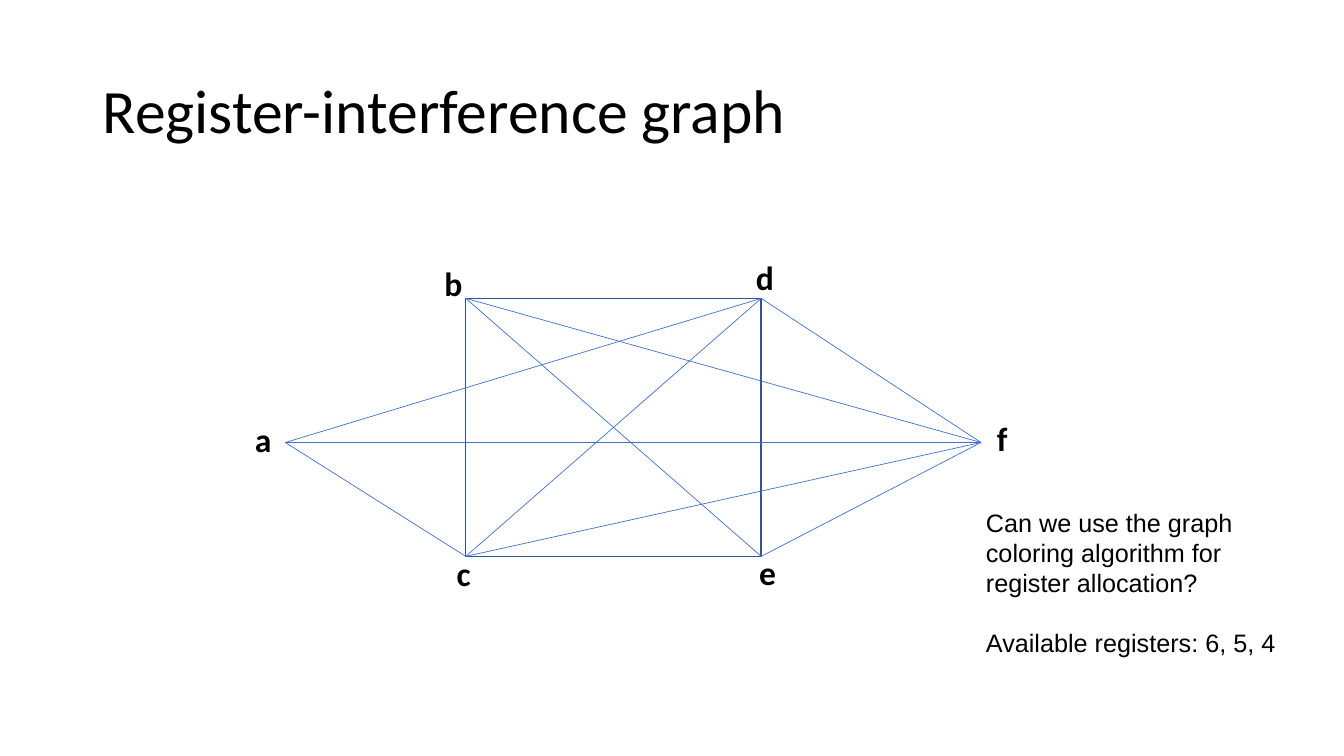
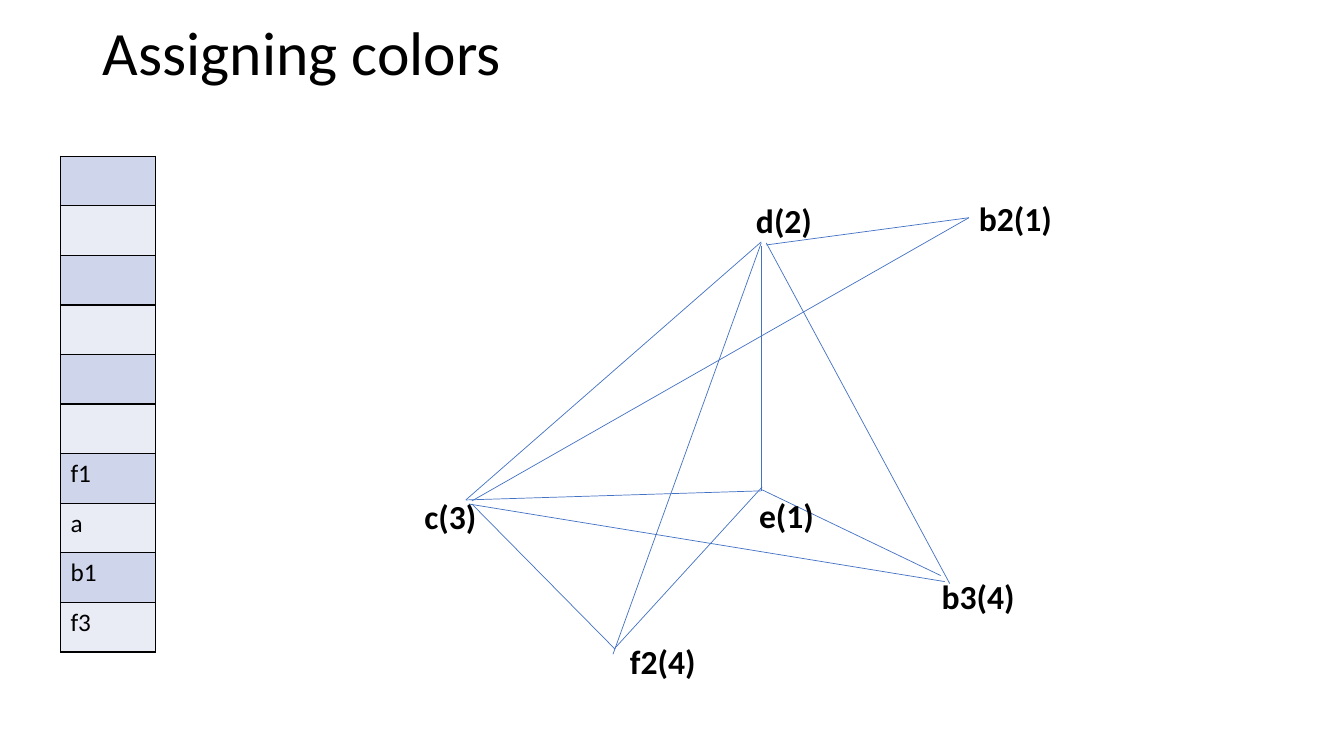
"""Build two slides on register-interference graphs and colour assignment."""
import dataclasses
import typing

import lxml.etree
import pptx
import pptx.dml.color
import pptx.enum.shapes
import pptx.enum.text
import pptx.oxml.ns
import pptx.util

Inches = pptx.util.Inches
Pt = pptx.util.Pt
Point = tuple[float, float]

BLACK, EDGE_BLUE, FRAME_BLUE = "000000", "4472C4", "325491"
STACK_BANDS = ("CFD5EA", "E9EBF5")
TITLE_FORMAT = {"name": "Calibri", "size": Pt(44), "bold": False}
LABEL_FORMAT = {"name": "Calibri", "size": Pt(24), "bold": True}
NOTE_FORMAT = {"name": "Arial", "size": Pt(18), "bold": False}
STACK_FORMAT = {"name": "Calibri", "size": Pt(18), "bold": False}


@dataclasses.dataclass(frozen=True)
class Label:
    """A bold node label and its place in inches."""
    text: str
    left: float
    top: float
    width: float = 0.87


@dataclasses.dataclass(frozen=True)
class Edge:
    """A straight graph edge between two points in inches."""
    start: Point
    end: Point


NODES: dict[str, Point] = {
    "a": (2.83, 4.39), "b": (4.62, 2.96), "c": (4.62, 5.52),
    "d": (7.55, 2.96), "e": (7.55, 5.52), "f": (9.73, 4.39),
}
INTERFERENCES = ("df", "ef", "cf", "cd", "be", "bf", "ad", "ac", "af")
NODE_LABELS = (
    Label("a", 2.43, 4.11), Label("b", 4.31, 2.56), Label("d", 7.4, 2.5),
    Label("f", 9.79, 4.1), Label("e", 7.43, 5.43), Label("c", 4.43, 5.44),
)
QUESTION = (
    "Can we use the graph coloring algorithm for register allocation?",
    "Available registers: 6, 5, 4",
)
COLORED_EDGES = (
    Edge((4.62, 4.96), (7.55, 2.4)), Edge((7.55, 2.44), (7.55, 4.87)),
    Edge((4.62, 4.96), (7.55, 4.87)), Edge((4.68, 4.97), (9.61, 2.16)),
    Edge((7.6, 2.43), (9.61, 2.16)), Edge((7.56, 4.86), (9.33, 5.71)),
    Edge((4.65, 5), (9.37, 5.77)), Edge((7.6, 2.41), (9.42, 5.79)),
    Edge((7.55, 2.41), (6.08, 6.49)), Edge((4.68, 5), (6.1, 6.44)),
    Edge((7.56, 4.83), (6.09, 6.44)),
)
COLORED_LABELS = (
    Label("d(2)", 7.4, 1.93), Label("e(1)", 7.43, 4.86),
    Label("c(3)", 4.11, 4.87), Label("b3(4)", 9.24, 5.66, 1.15),
    Label("b2(1)", 9.61, 1.91, 0.94), Label("f2(4)", 6.15, 6.31),
)
STACK = ("", "", "", "", "", "", "f1", "a", "b1", "f3")


def rgb(value: str) -> pptx.dml.color.RGBColor:
    """Return the colour for a hex string."""
    return pptx.dml.color.RGBColor.from_string(value)


def apply_format(font: typing.Any, values: dict[str, typing.Any]) -> None:
    """Set every font attribute given, in black."""
    for attribute, value in values.items():
        setattr(font, attribute, value)
    font.color.rgb = rgb(BLACK)


def add_titled_slide(deck: typing.Any, text: str, top: float) -> typing.Any:
    """Add a title-only slide with its title at the given height."""
    slide = deck.slides.add_slide(deck.slide_layouts[5])
    title = slide.shapes.title
    place = {"left": 0.92, "top": top, "width": 11.5, "height": 1.45}
    for attribute, value in place.items():
        setattr(title, attribute, Inches(value))
    frame = title.text_frame
    frame.text = text
    frame.auto_size = pptx.enum.text.MSO_AUTO_SIZE.NONE
    frame.vertical_anchor = pptx.enum.text.MSO_ANCHOR.MIDDLE
    paragraph = frame.paragraphs[0]
    paragraph.alignment = pptx.enum.text.PP_ALIGN.LEFT
    paragraph.line_spacing = 0.9
    apply_format(paragraph.font, TITLE_FORMAT)
    return slide


def add_text(slide: typing.Any, lines: typing.Sequence[str],
             place: tuple[float, float, float, float],
             values: dict[str, typing.Any], gap: float = 0) -> None:
    """Add a wrapped text box with a gap between its paragraphs."""
    frame = slide.shapes.add_textbox(*map(Inches, place)).text_frame
    frame.word_wrap = True
    frame.auto_size = pptx.enum.text.MSO_AUTO_SIZE.SHAPE_TO_FIT_TEXT
    for index, line in enumerate(lines):
        paragraph = frame.add_paragraph() if index else frame.paragraphs[0]
        paragraph.text = line
        if index:
            paragraph.space_before = Pt(gap)
        apply_format(paragraph.font, values)


def add_labels(slide: typing.Any, labels: typing.Iterable[Label]) -> None:
    """Draw the node labels."""
    for label in labels:
        place = (label.left, label.top, label.width, 0.5)
        add_text(slide, [label.text], place, LABEL_FORMAT)


def add_edges(slide: typing.Any, edges: typing.Iterable[Edge]) -> None:
    """Draw the graph edges as thin connectors without shadow."""
    for edge in edges:
        connector = slide.shapes.add_connector(
            pptx.enum.shapes.MSO_CONNECTOR.STRAIGHT,
            *map(Inches, edge.start + edge.end))
        connector.line.color.rgb = rgb(EDGE_BLUE)
        connector.line.width = Pt(0.5)
        properties = connector._element.spPr
        lxml.etree.SubElement(properties, pptx.oxml.ns.qn("a:effectLst"))


def add_frame(slide: typing.Any, corner: Point, opposite: Point) -> None:
    """Draw the rectangle formed by the four inner nodes."""
    size = (opposite[0] - corner[0], opposite[1] - corner[1])
    frame = slide.shapes.add_shape(
        pptx.enum.shapes.MSO_SHAPE.RECTANGLE, *map(Inches, corner + size))
    frame.shadow.inherit = False
    frame.fill.background()
    frame.line.color.rgb = rgb(FRAME_BLUE)
    frame.line.width = Pt(1)


def add_borders(cell: typing.Any) -> None:
    """Give a table cell a thin black border on every side."""
    qn = pptx.oxml.ns.qn
    properties = cell._tc.get_or_add_tcPr()
    for side in ("lnL", "lnR", "lnT", "lnB"):
        border = lxml.etree.SubElement(
            properties, qn(f"a:{side}"), w=str(Pt(1)))
        fill = lxml.etree.SubElement(border, qn("a:solidFill"))
        lxml.etree.SubElement(fill, qn("a:srgbClr"), val=BLACK)


def add_stack(slide: typing.Any, entries: typing.Sequence[str]) -> None:
    """Draw the node stack as a one-column table."""
    stack = slide.shapes.add_table(
        len(entries), 1, *map(Inches, (0.6, 1.55, 0.94, 4.92))).table
    stack.first_row = False
    stack.horz_banding = False
    for index, entry in enumerate(entries):
        cell = stack.cell(index, 0)
        cell.text = entry
        apply_format(cell.text_frame.paragraphs[0].font, STACK_FORMAT)
        add_borders(cell)
        cell.fill.solid()
        cell.fill.fore_color.rgb = rgb(STACK_BANDS[index % 2])


def build_interference_slide(deck: typing.Any) -> None:
    """Build the register-interference graph."""
    slide = add_titled_slide(deck, "Register-interference graph", 0.4)
    add_frame(slide, NODES["b"], NODES["e"])
    add_edges(slide, (Edge(NODES[start], NODES[end])
                      for start, end in INTERFERENCES))
    add_labels(slide, NODE_LABELS)
    add_text(slide, QUESTION, (9.68, 4.98, 3.25, 2.22), NOTE_FORMAT, 21)


def build_coloring_slide(deck: typing.Any) -> None:
    """Build the coloured graph and its stack."""
    slide = add_titled_slide(deck, "Assigning colors", -0.17)
    add_edges(slide, COLORED_EDGES)
    add_labels(slide, COLORED_LABELS)
    add_stack(slide, STACK)


def main() -> None:
    """Build and save the presentation."""
    deck = pptx.Presentation()
    deck.slide_width = Inches(13.33)
    deck.slide_height = Inches(7.5)
    build_interference_slide(deck)
    build_coloring_slide(deck)
    deck.save("out.pptx")


if __name__ == "__main__":
    main()
